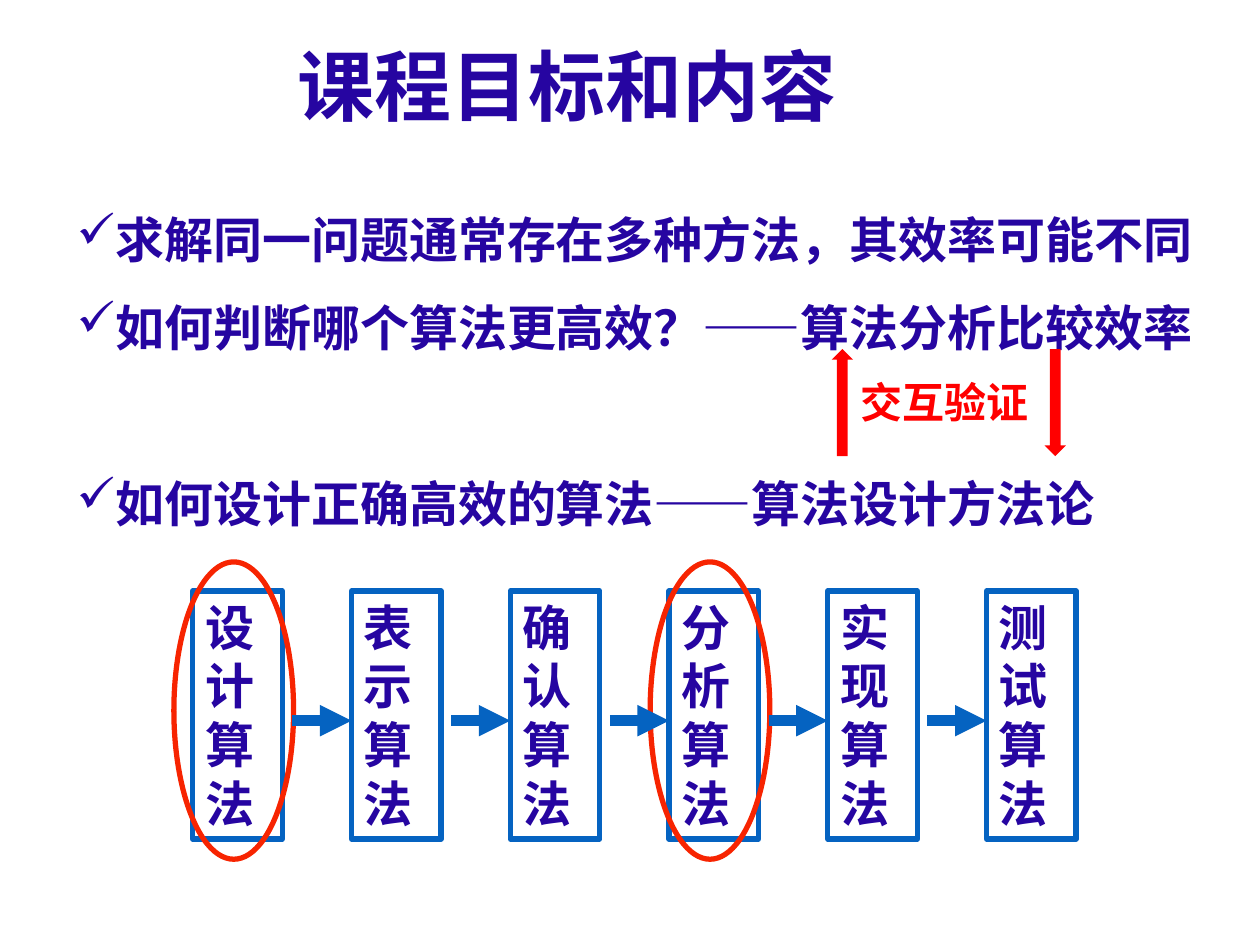
from pptx import Presentation
from pptx.dml.color import RGBColor
from pptx.enum.shapes import MSO_CONNECTOR, MSO_SHAPE
from pptx.enum.text import MSO_ANCHOR, MSO_AUTO_SIZE, PP_ALIGN
from pptx.oxml.ns import qn
from pptx.util import Inches, Pt
from lxml.etree import SubElement

COLORS = {"ink": "2605A1", "box": "0563C1", "ring": "F72401", "verify": "FF0000"}
TITLE = "课程目标和内容"
GOALS = [
    ("求解同一问题通常存在多种方法，其效率可能不同", 0),
    ("如何判断哪个算法更高效？——算法分析比较效率", 0),
    ("如何设计正确高效的算法——算法设计方法论", 50),
]
VERIFY = "交互验证"
STEPS = ["设计算法", "表示算法", "确认算法", "分析算法", "实现算法", "测试算法"]
RINGED = ["设计算法", "分析算法"]
VERIFY_ARROWS = [(8.29, 0), (6.6, 180)]
STEP_LEFT, STEP_PITCH = 1.53, 1.26


def rgb(key):
    return RGBColor.from_string(COLORS[key])


def box(*lengths):
    return [Inches(length) for length in lengths]


def style(paragraph, size, color, font="Arial"):
    for run in paragraph.runs:
        run.font.size, run.font.bold, run.font.name = Pt(size), True, font
        run.font.color.rgb = rgb(color)
        SubElement(run.font._element, qn("a:ea"), typeface="Noto Sans CJK SC")


def outline(shapes, kind, color, *place):
    shape = shapes.add_shape(kind, *box(*place))
    shape.shadow.inherit = False
    shape.fill.background()
    shape.line.color.rgb, shape.line.width = rgb(color), Pt(3)
    return shape


def add_check(paragraph):
    props = paragraph._p.get_or_add_pPr()
    props.set("marL", str(Inches(0.31)))
    props.set("indent", str(-Inches(0.31)))
    bullet_color = SubElement(props, qn("a:buClr"))
    SubElement(bullet_color, qn("a:srgbClr"), val=COLORS["ink"])
    SubElement(props, qn("a:buChar"), char="✓")


def add_title(slide):
    title = slide.shapes.title
    title.left, title.top, title.width, title.height = box(0, 0.05, 9, 1.25)
    frame = title.text_frame
    frame.text, frame.vertical_anchor = TITLE, MSO_ANCHOR.MIDDLE
    frame.paragraphs[0].alignment = PP_ALIGN.CENTER
    style(frame.paragraphs[0], 44, "ink", "Noto Sans CJK SC")


def add_steps(shapes):
    lefts = [STEP_LEFT + STEP_PITCH * i for i in range(len(STEPS))]
    for step, left in zip(STEPS, lefts):
        frame = outline(shapes, MSO_SHAPE.RECTANGLE, "box", left, 4.69, 0.71, 1.97).text_frame
        frame.text, frame.word_wrap = step, True
        frame.vertical_anchor, frame.auto_size = MSO_ANCHOR.TOP, MSO_AUTO_SIZE.SHAPE_TO_FIT_TEXT
        frame.paragraphs[0].alignment = PP_ALIGN.LEFT
        style(frame.paragraphs[0], 28, "ink")
    for step, left in zip(STEPS, lefts):
        if step in RINGED:
            outline(shapes, MSO_SHAPE.OVAL, "ring", left - 0.15, 4.46, 0.95, 2.36)
    for left in lefts[1:]:
        arrow = shapes.add_connector(MSO_CONNECTOR.STRAIGHT, *box(left - 0.47, 5.72, left, 5.72))
        arrow.line.color.rgb, arrow.line.width = rgb("box"), Pt(6)
        SubElement(arrow.line._get_or_add_ln(), qn("a:tailEnd"), type="triangle")
        SubElement(arrow._element.spPr, qn("a:effectLst"))


def add_goals(shapes):
    frame = shapes.add_textbox(*box(0.51, 1.38, 9.3, 2.9)).text_frame
    frame.word_wrap, frame.auto_size = True, MSO_AUTO_SIZE.SHAPE_TO_FIT_TEXT
    frame.text = "\n".join(goal for goal, _ in GOALS)
    for paragraph, (_, gap) in zip(frame.paragraphs, GOALS):
        add_check(paragraph)
        paragraph.line_spacing = 1.5
        if gap:
            paragraph.space_before = Pt(gap)
        style(paragraph, 28, "ink")


def add_verification(shapes):
    group = shapes.add_group_shape().shapes
    frame = group.add_textbox(*box(6.73, 2.94, 1.72, 0.5)).text_frame
    frame.text, frame.word_wrap = VERIFY, True
    frame.auto_size = MSO_AUTO_SIZE.SHAPE_TO_FIT_TEXT
    style(frame.paragraphs[0], 24, "verify")
    for left, rotation in VERIFY_ARROWS:
        arrow = group.add_shape(MSO_SHAPE.DOWN_ARROW, *box(left, 2.77, 0.17, 0.85))
        arrow.shadow.inherit = False
        arrow.rotation = rotation
        arrow.fill.solid()
        arrow.fill.fore_color.rgb = rgb("verify")
        arrow.line.fill.background()


def main():
    """Build the slide on course goals and contents."""
    deck = Presentation()
    deck.slide_width, deck.slide_height = box(10, 7.5)
    slide = deck.slides.add_slide(deck.slide_layouts[5])
    add_title(slide)
    add_steps(slide.shapes)
    add_goals(slide.shapes)
    add_verification(slide.shapes)
    deck.save("out.pptx")


if __name__ == "__main__":
    main()
